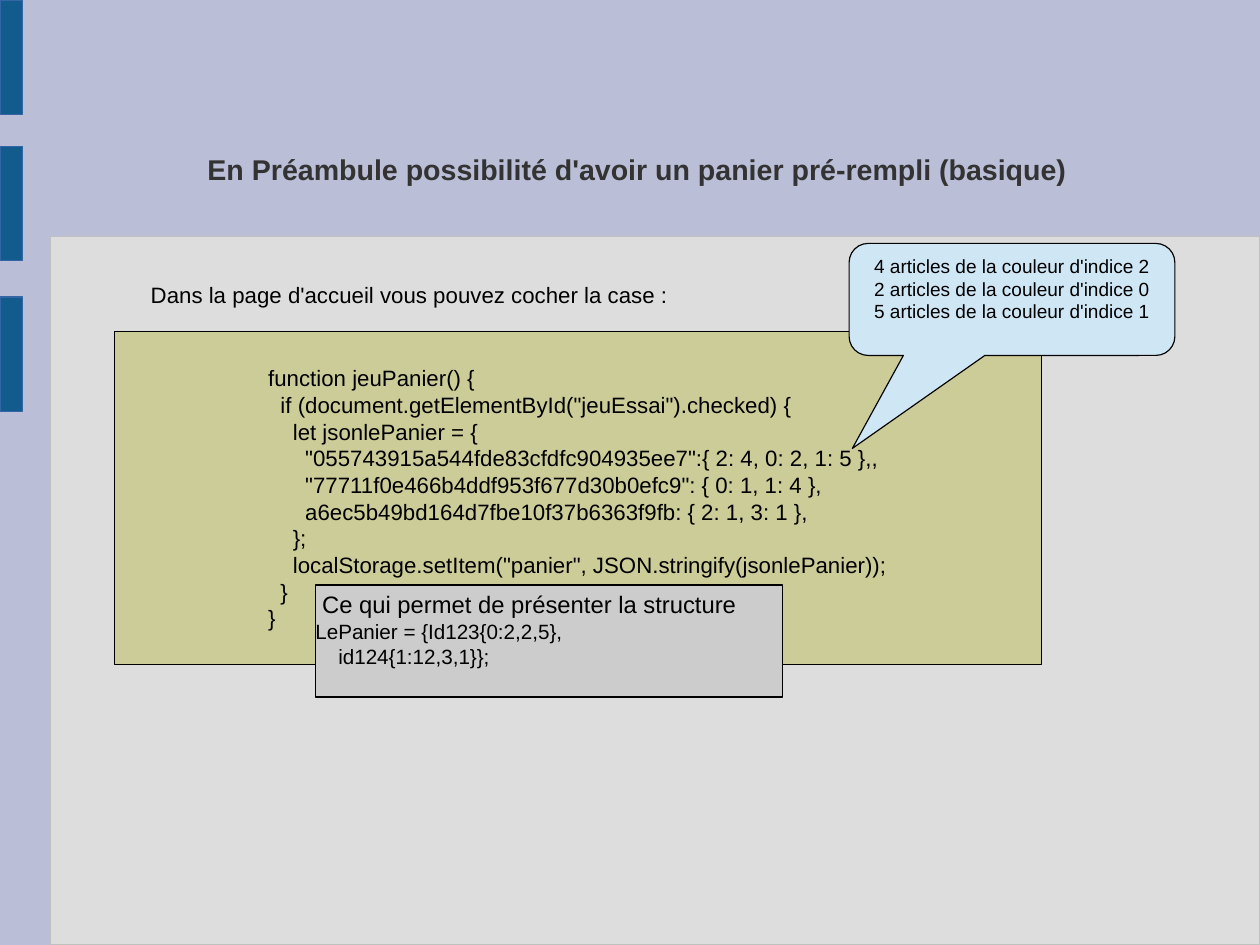
from dataclasses import dataclass

from pptx import Presentation
from pptx.dml.color import RGBColor
from pptx.enum import shapes, text
from pptx.util import Cm, Pt


@dataclass(frozen=True)
class Theme:
    """Colours, font and type sizes of the slide."""
    background: str = "BABED6"
    panel: str = "DDDDDD"
    panel_line: str = "C0C0C0"
    bar: str = "125C8D"
    bar_line: str = "3465A4"
    code: str = "CCCC99"
    callout: str = "CFE7F5"
    structure: str = "CCCCCC"
    title: str = "333333"
    ink: str = "000000"
    font: str = "Arial"
    title_size: int = 18
    body_size: int = 14
    callout_size: int = 12
    lead_size: int = 15
    structure_size: int = 13


THEME = Theme()
RECTANGLE = shapes.MSO_SHAPE.RECTANGLE
CALLOUT = shapes.MSO_SHAPE.ROUNDED_RECTANGULAR_CALLOUT
LEFT, CENTER = text.PP_ALIGN.LEFT, text.PP_ALIGN.CENTER
MIDDLE, TOP = text.MSO_ANCHOR.MIDDLE, text.MSO_ANCHOR.TOP

CODE = """function jeuPanier() {
  if (document.getElementById("jeuEssai").checked) {
    let jsonlePanier = {
      "055743915a544fde83cfdfc904935ee7":{ 2: 4, 0: 2, 1: 5 },,
      "77711f0e466b4ddf953f677d30b0efc9": { 0: 1, 1: 4 },
      a6ec5b49bd164d7fbe10f37b6363f9fb: { 2: 1, 3: 1 },
    };
    localStorage.setItem("panier", JSON.stringify(jsonlePanier));
  }
}""".split("\n")


def add_box(slide, box, fill, line, kind=RECTANGLE):
    """Add a filled shape with a hairline outline; box is in centimetres."""
    shape = slide.shapes.add_shape(kind, *map(Cm, box))
    shape.shadow.inherit = False
    shape.fill.solid()
    shape.fill.fore_color.rgb = RGBColor.from_string(fill)
    shape.line.color.rgb = RGBColor.from_string(line)
    shape.line.width = Pt(0)
    return shape


def set_frame(shape, anchor=MIDDLE, left=0, bottom=0, wrap=True):
    """Set the anchor, wrapping and insets of a shape's text."""
    frame = shape.text_frame
    frame.word_wrap = wrap
    frame.vertical_anchor = anchor
    frame.margin_left, frame.margin_bottom = Cm(left), Cm(bottom)
    frame.margin_right = frame.margin_top = 0


def write_lines(shape, lines, size, align=LEFT, color=THEME.ink, bold=False):
    """Write one paragraph per line, after any text already in the shape."""
    frame = shape.text_frame
    for line in lines:
        first = frame.paragraphs[0]
        paragraph = frame.add_paragraph() if first.runs else first
        paragraph.alignment = align
        run = paragraph.add_run()
        run.text = line
        run.font.name = THEME.font
        run.font.size = Pt(size)
        run.font.bold = bold
        run.font.color.rgb = RGBColor.from_string(color)


def add_backdrop(slide):
    """Paint the background, the grey panel and the bars at the left edge."""
    slide.background.fill.solid()
    slide.background.fill.fore_color.rgb = RGBColor.from_string(THEME.background)
    add_box(slide, (1.12, 5.26, 26.88, 15.74), THEME.panel, THEME.panel_line)
    for top in (0, 3.25, 6.6):
        add_box(slide, (0, top, 0.51, 2.54), THEME.bar, THEME.bar_line)


def add_title(slide, title):
    """Place and format the title placeholder."""
    shape = slide.shapes.title
    shape.left, shape.top, shape.width, shape.height = map(
        Cm, (2.21, 2.01, 23.9, 3.51))
    set_frame(shape)
    write_lines(shape, [title], THEME.title_size, CENTER, THEME.title, True)


def add_intro(slide, sentence):
    """Add the sentence above the code."""
    shape = slide.shapes.add_textbox(*map(Cm, (3.35, 6.25, 11.51, 0.56)))
    set_frame(shape, TOP, wrap=False)
    write_lines(shape, [sentence], THEME.body_size)


def add_code(slide):
    """Add the code listing."""
    shape = add_box(slide, (2.54, 7.37, 20.6, 7.39), THEME.code, THEME.ink)
    set_frame(shape, left=3.42)
    write_lines(shape, CODE, THEME.body_size)


def add_callout(slide, lines):
    """Add the speech bubble that points at the first basket entry."""
    shape = add_box(slide, (18.87, 5.41, 7.24, 2.49), THEME.callout,
                    THEME.ink, CALLOUT)
    for index, value in enumerate((-0.49, 1.33, 0.17)):
        shape.adjustments[index] = value
    set_frame(shape, bottom=0.49)
    write_lines(shape, lines, THEME.callout_size, CENTER)


def add_structure(slide, lead, lines):
    """Add the box that shows the structure of the basket."""
    shape = add_box(slide, (7.01, 13, 10.39, 2.49), THEME.structure, THEME.ink)
    set_frame(shape, bottom=0.53)
    write_lines(shape, [lead], THEME.lead_size)
    properties = shape.text_frame.paragraphs[0]._p.get_or_add_pPr()
    properties.set("marL", str(Cm(0.15)))
    write_lines(shape, lines, THEME.structure_size)


def main():
    """Build the slide and save it."""
    presentation = Presentation()
    presentation.slide_width, presentation.slide_height = Cm(28), Cm(21)
    slide = presentation.slides.add_slide(presentation.slide_layouts[5])
    add_backdrop(slide)
    add_title(slide, "En Préambule possibilité d'avoir un panier pré-rempli (basique)")
    add_intro(slide, "Dans la page d'accueil vous pouvez cocher la case :")
    add_code(slide)
    add_callout(slide, [
        f"{count} articles de la couleur d'indice {color}"
        for count, color in ((4, 2), (2, 0), (5, 1))])
    add_structure(slide, "Ce qui permet de présenter la structure", [
        "LePanier = {Id123{0:2,2,5},",
        "    id124{1:12,3,1}};"])
    presentation.save("out.pptx")


if __name__ == "__main__":
    main()
